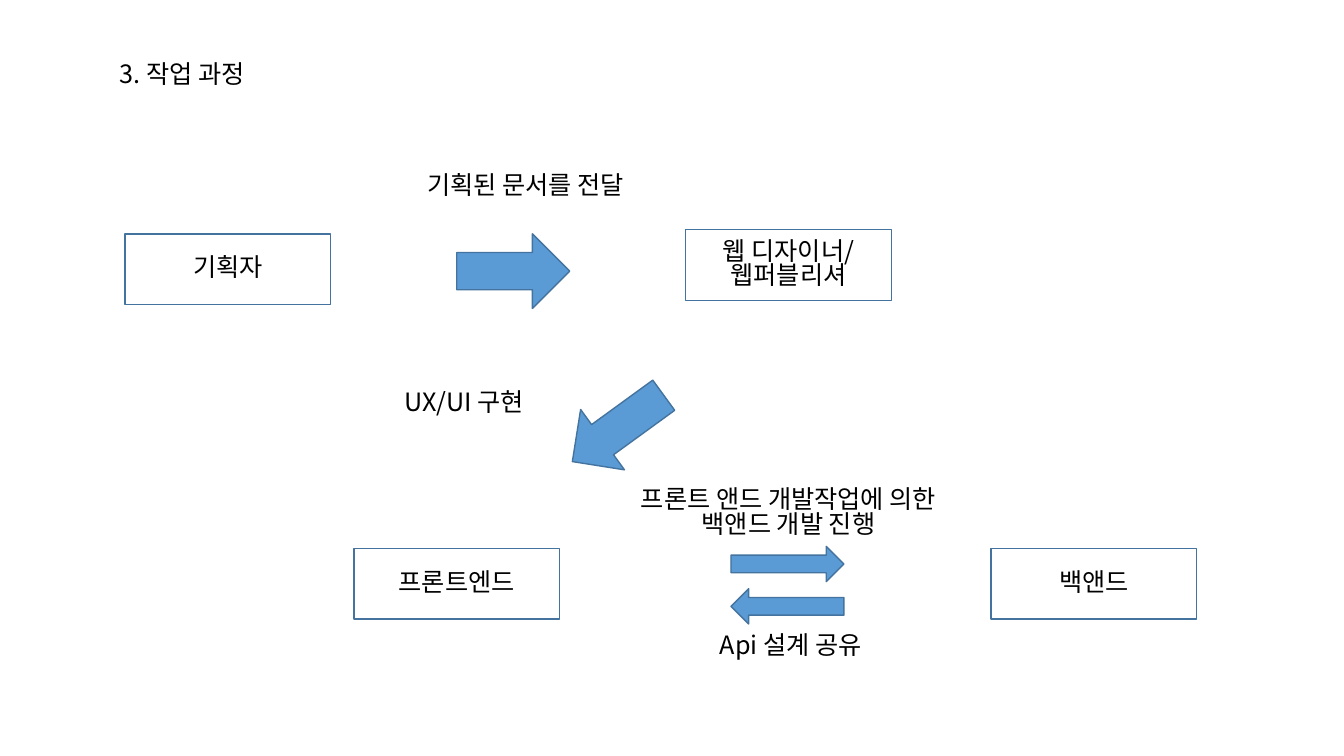
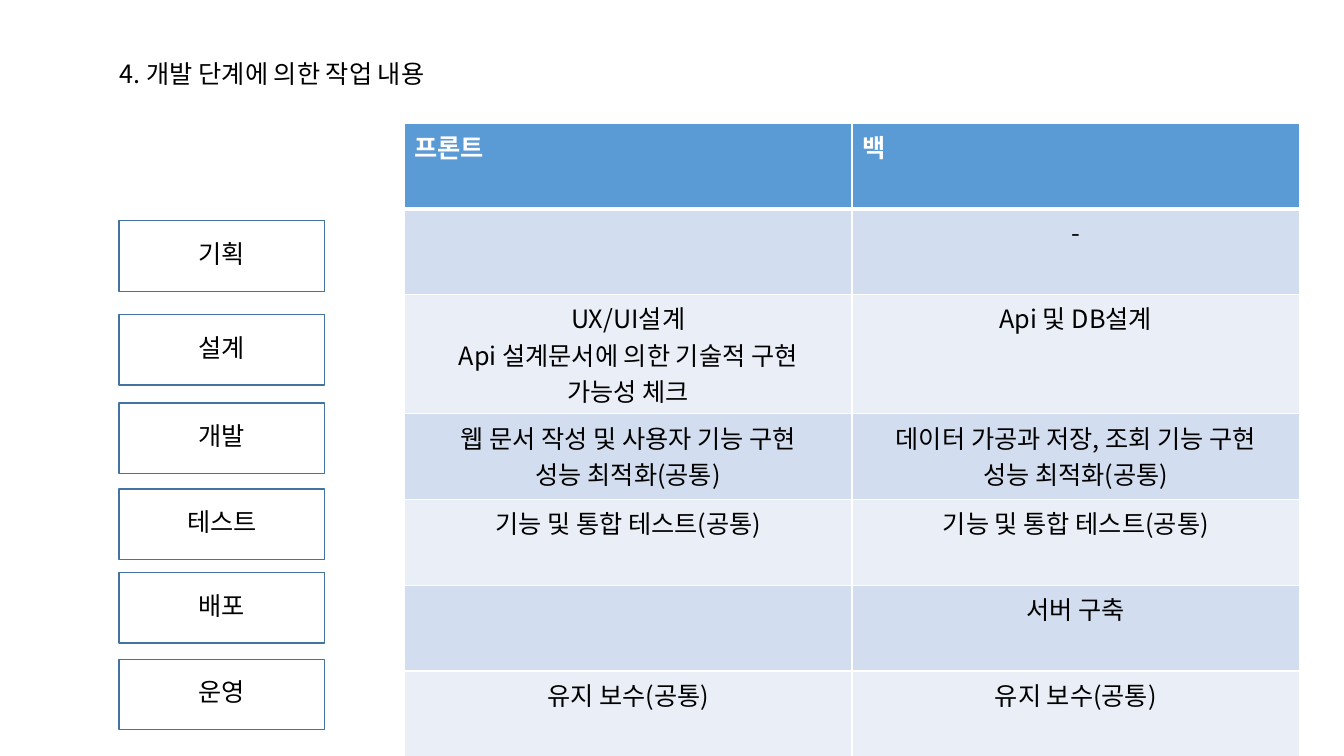
from lxml import etree
from pptx import Presentation
from pptx.dml.color import RGBColor
from pptx.enum.shapes import MSO_SHAPE
from pptx.enum.text import MSO_ANCHOR, MSO_AUTO_SIZE, PP_ALIGN
from pptx.oxml.ns import qn
from pptx.util import Emu, Pt

RECT, ARROW = MSO_SHAPE.RECTANGLE, MSO_SHAPE.RIGHT_ARROW
LEFT, CENTER = PP_ALIGN.LEFT, PP_ALIGN.CENTER
TOP, MIDDLE = MSO_ANCHOR.TOP, MSO_ANCHOR.MIDDLE
NO_AUTOFIT = MSO_AUTO_SIZE.NONE
TITLE_ONLY = 5

PX = 9144  # 100 px to the inch
FONT, SIZE, TIGHT = "Noto Sans CJK KR", 18, 0.82
BLACK, WHITE = "000000", "FFFFFF"
BLUE, OUTLINE = "5B9BD5", "43739E"
BANDS = ("D2DEEF", "EAEFF7")

SLIDE_W, SLIDE_H = 1333, 750
TITLE_AT = (109, 58, 875, 40)
BOX_W, BOX_H = 204, 70

# Work process
PROCESS_TITLE = "3. 작업 과정"
ROLES = [  # left, top, text
    (124, 232, "기획자"),
    (680, 228, "웹 디자이너/\n웹퍼블리셔"),
    (351, 544, "프론트엔드"),
    (983, 544, "백앤드"),
]
ARROWS = [  # left, top, width, height, rotation
    (453, 232, 112, 74, 0),
    (557, 388, 112, 74, 144),
    (725, 542, 112, 35, 0),
    (725, 584, 112, 35, 180),
]
LABELS = [  # left, top, width, height, text, alignment
    (414, 168, 315, 40, "기획된 문서를 전달", LEFT),
    (391, 384, 155, 40, "UX/UI 구현", LEFT),
    (576, 480, 412, 71, "프론트 앤드 개발작업에 의한\n백앤드 개발 진행", CENTER),
    (704, 625, 240, 40, "Api 설계 공유", LEFT),
]

# Work by development stage
STAGES_TITLE = "4. 개발 단계에 의한 작업 내용"
STAGE_LEFT = 118
STAGES = [  # top, text
    (219, "기획"), (312, "설계"), (400, "개발"),
    (485, "테스트"), (568, "배포"), (654, "운영"),
]
TABLE_LEFT, TABLE_TOP, COL_W = 401, 122, 444
ROW_HEIGHTS = [85, 85, 87, 85, 85, 85, 85]
TASKS = [
    ("프론트", "백"),
    ("", "-"),
    ("UX/UI설계\nApi 설계문서에 의한 기술적 구현\n가능성 체크", "Api 및 DB설계"),
    ("웹 문서 작성 및 사용자 기능 구현\n성능 최적화(공통)",
     "데이터 가공과 저장, 조회 기능 구현\n성능 최적화(공통)"),
    ("기능 및 통합 테스트(공통)", "기능 및 통합 테스트(공통)"),
    ("", "서버 구축"),
    ("유지 보수(공통)", "유지 보수(공통)"),
]


def px(*values):
    return [Emu(v * PX) for v in values]


def rgb(color):
    return RGBColor.from_string(color)


def write(tf, text, align=LEFT, color=BLACK, bold=False, spacing=TIGHT):
    tf.text = text
    for p in tf.paragraphs:
        p.alignment = align
        p.line_spacing = spacing
        for r in p.runs:
            r.font.name = FONT
            r.font.size = Pt(SIZE)
            r.font.bold = bold
            r.font.color.rgb = rgb(color)
            ea = etree.SubElement(r.font._element, qn("a:ea"))
            ea.set("typeface", FONT)


def add_titled_slide(prs, title):
    s = prs.slides.add_slide(prs.slide_layouts[TITLE_ONLY])
    sp = s.shapes.title
    sp.left, sp.top, sp.width, sp.height = px(*TITLE_AT)
    tf = sp.text_frame
    tf.auto_size = NO_AUTOFIT
    tf.vertical_anchor = TOP
    write(tf, title)
    return s


def add_outlined(s, kind, left, top, width, height):
    sp = s.shapes.add_shape(kind, *px(left, top, width, height))
    sp.shadow.inherit = False
    sp.line.color.rgb = rgb(OUTLINE)
    sp.line.width = Pt(1)
    return sp


def add_box(s, left, top, text):
    sp = add_outlined(s, RECT, left, top, BOX_W, BOX_H)
    sp.fill.background()
    sp.text_frame.vertical_anchor = MIDDLE
    write(sp.text_frame, text, CENTER)


def add_arrow(s, left, top, width, height, rotation):
    sp = add_outlined(s, ARROW, left, top, width, height)
    sp.fill.solid()
    sp.fill.fore_color.rgb = rgb(BLUE)
    sp.rotation = rotation


def add_label(s, left, top, width, height, text, align):
    tf = s.shapes.add_textbox(*px(left, top, width, height)).text_frame
    tf.word_wrap = True
    write(tf, text, align)


def set_borders(cell, widths):
    """Draw white borders; widths in points by side: L, R, T, B."""
    tc_pr = cell._tc.get_or_add_tcPr()
    for side, width in widths.items():
        ln = etree.SubElement(tc_pr, qn(f"a:ln{side}"), w=str(Pt(width)))
        fill = etree.SubElement(ln, qn("a:solidFill"))
        etree.SubElement(fill, qn("a:srgbClr"), val=WHITE)


def add_task_table(s):
    area = px(TABLE_LEFT, TABLE_TOP, COL_W * len(TASKS[0]), sum(ROW_HEIGHTS))
    table = s.shapes.add_table(len(TASKS), len(TASKS[0]), *area).table
    table.horz_banding = False
    for col in table.columns:
        col.width = Emu(COL_W * PX)
    for i, (row, height, texts) in enumerate(zip(table.rows, ROW_HEIGHTS, TASKS)):
        row.height = Emu(height * PX)
        header = i == 0
        for cell, text in zip(row.cells, texts):
            set_borders(cell, {"L": 1, "R": 1, "T": 3 if i == 1 else 1,
                               "B": 3 if header else 1})
            cell.fill.solid()
            cell.fill.fore_color.rgb = rgb(BLUE if header else BANDS[(i - 1) % 2])
            write(cell.text_frame, text, LEFT if header else CENTER,
                  WHITE if header else BLACK, header, 1.0)


def build_process(prs):
    s = add_titled_slide(prs, PROCESS_TITLE)
    for role in ROLES:
        add_box(s, *role)
    for arrow in ARROWS:
        add_arrow(s, *arrow)
    for label in LABELS:
        add_label(s, *label)


def build_stages(prs):
    s = add_titled_slide(prs, STAGES_TITLE)
    for top, stage in STAGES:
        add_box(s, STAGE_LEFT, top, stage)
    add_task_table(s)


def main():
    prs = Presentation()
    prs.slide_width, prs.slide_height = px(SLIDE_W, SLIDE_H)
    build_process(prs)
    build_stages(prs)
    prs.save("out.pptx")


if __name__ == "__main__":
    main()
